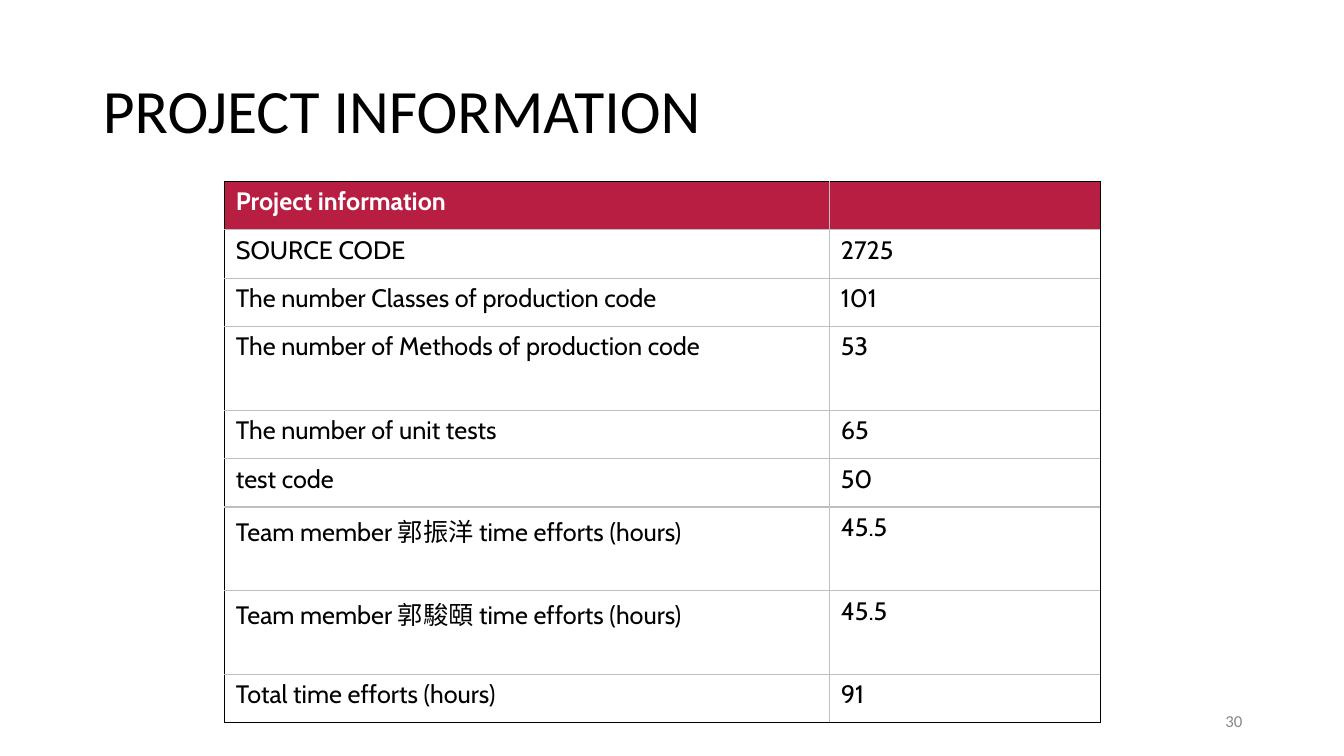
from dataclasses import dataclass

from lxml import etree
from pptx import Presentation
from pptx.dml.color import RGBColor
from pptx.enum.text import MSO_ANCHOR, PP_ALIGN
from pptx.oxml.ns import qn
from pptx.util import Inches, Pt

LEFT, RIGHT = PP_ALIGN.LEFT, PP_ALIGN.RIGHT
MIDDLE = MSO_ANCHOR.MIDDLE


@dataclass(frozen=True)
class Theme:
    heading_font: str = "Calibri"
    table_font: str = "Cabin"
    cjk_font: str = "Noto Sans CJK TC"
    black: str = "000000"
    white: str = "FFFFFF"
    header: str = "B71E42"
    grid: str = "BFBFBF"
    page_number: str = "888888"
    title_size: int = 44
    table_size: int = 18
    page_size: int = 12
    frame_width: float = 0.75
    grid_width: float = 1


THEME = Theme()
TITLE_ONLY = 5
COL_WIDTHS = (6, 2.68)
ROW, TALL_ROW = 0.48, 0.83

# Each row: height, label runs, value
ROWS = (
    (ROW, ("Project information",), ""),
    (ROW, ("SOURCE CODE",), "2725"),
    (ROW, ("The number Classes of production code",), "101"),
    (TALL_ROW, ("The number of Methods of production code",), "53"),
    (ROW, ("The number of unit tests",), "65"),
    (ROW, ("test code",), "50"),
    (TALL_ROW, ("Team member ", "郭振洋", " time efforts (hours)"), "45.5"),
    (TALL_ROW, ("Team member", " 郭駿頤 ", "time efforts (hours)"), "45.5"),
    (ROW, ("Total time efforts (hours)",), "91"),
)


def add_run(p, text, font, size, color, bold=False):
    r = p.add_run()
    r.text = text
    r.font.name = font
    r.font.size = Pt(size)
    r.font.bold = bold
    r.font.color.rgb = RGBColor.from_string(color)
    if not text.isascii():
        ea = etree.SubElement(r.font._element, qn("a:ea"))
        ea.set("typeface", font)


def set_border(cell, side, color, width):
    tc_pr = cell._tc.get_or_add_tcPr()
    ln = etree.SubElement(tc_pr, qn(f"a:ln{side}"), w=str(Pt(width)))
    fill = etree.SubElement(ln, qn("a:solidFill"))
    etree.SubElement(fill, qn("a:srgbClr"), val=color)


def format_cell(cell, outer_sides, fill):
    """Black frame on the table's outer sides, grey grid on the others."""
    for side in "LRTB":
        if side in outer_sides:
            set_border(cell, side, THEME.black, THEME.frame_width)
        else:
            set_border(cell, side, THEME.grid, THEME.grid_width)
    cell.fill.solid()
    cell.fill.fore_color.rgb = RGBColor.from_string(fill)
    cell.margin_left = cell.margin_right = Inches(0.11)
    cell.margin_top = cell.margin_bottom = Inches(0.05)


def add_title(slide, left, top, width, height):
    sp = slide.shapes.title
    sp.left, sp.top = Inches(left), Inches(top)
    sp.width, sp.height = Inches(width), Inches(height)
    tf = sp.text_frame
    tf.word_wrap = True
    tf.vertical_anchor = MIDDLE
    p = tf.paragraphs[0]
    p.alignment = LEFT
    p.line_spacing = 0.9
    add_run(p, "PROJECT INFORMATION", THEME.heading_font, THEME.title_size,
            THEME.black)


def add_project_table(slide, left, top):
    height = sum(row[0] for row in ROWS)
    table = slide.shapes.add_table(
        len(ROWS), len(COL_WIDTHS), Inches(left), Inches(top),
        Inches(sum(COL_WIDTHS)), Inches(height)).table
    table.horz_banding = False
    for column, width in zip(table.columns, COL_WIDTHS):
        column.width = Inches(width)

    for i, (row_height, label, value) in enumerate(ROWS):
        table.rows[i].height = Inches(row_height)
        is_header = i == 0
        fill = THEME.header if is_header else THEME.white
        color = THEME.white if is_header else THEME.black
        edge = "T" if is_header else "B" if i == len(ROWS) - 1 else ""
        for j, (side, runs) in enumerate((("L", label), ("R", (value,)))):
            cell = table.cell(i, j)
            format_cell(cell, side + edge, fill)
            p = cell.text_frame.paragraphs[0]
            p.font.size = Pt(THEME.table_size)
            for text in filter(None, runs):
                font = THEME.table_font if text.isascii() else THEME.cjk_font
                add_run(p, text, font, THEME.table_size, color, is_header)


def add_page_number(slide, left, top, width, height):
    sp = slide.shapes.add_textbox(Inches(left), Inches(top), Inches(width),
                                  Inches(height))
    tf = sp.text_frame
    tf.word_wrap = True
    tf.vertical_anchor = MIDDLE
    p = tf.paragraphs[0]
    p.alignment = RIGHT
    add_run(p, "30", THEME.heading_font, THEME.page_size, THEME.page_number)


def main():
    prs = Presentation()
    prs.slide_width, prs.slide_height = Inches(13.33), Inches(7.5)
    slide = prs.slides.add_slide(prs.slide_layouts[TITLE_ONLY])
    add_title(slide, 0.92, 0.4, 11.5, 1.45)
    add_page_number(slide, 9.42, 6.95, 3, 0.4)
    add_project_table(slide, 2.23, 1.8)
    prs.save("out.pptx")


if __name__ == "__main__":
    main()
